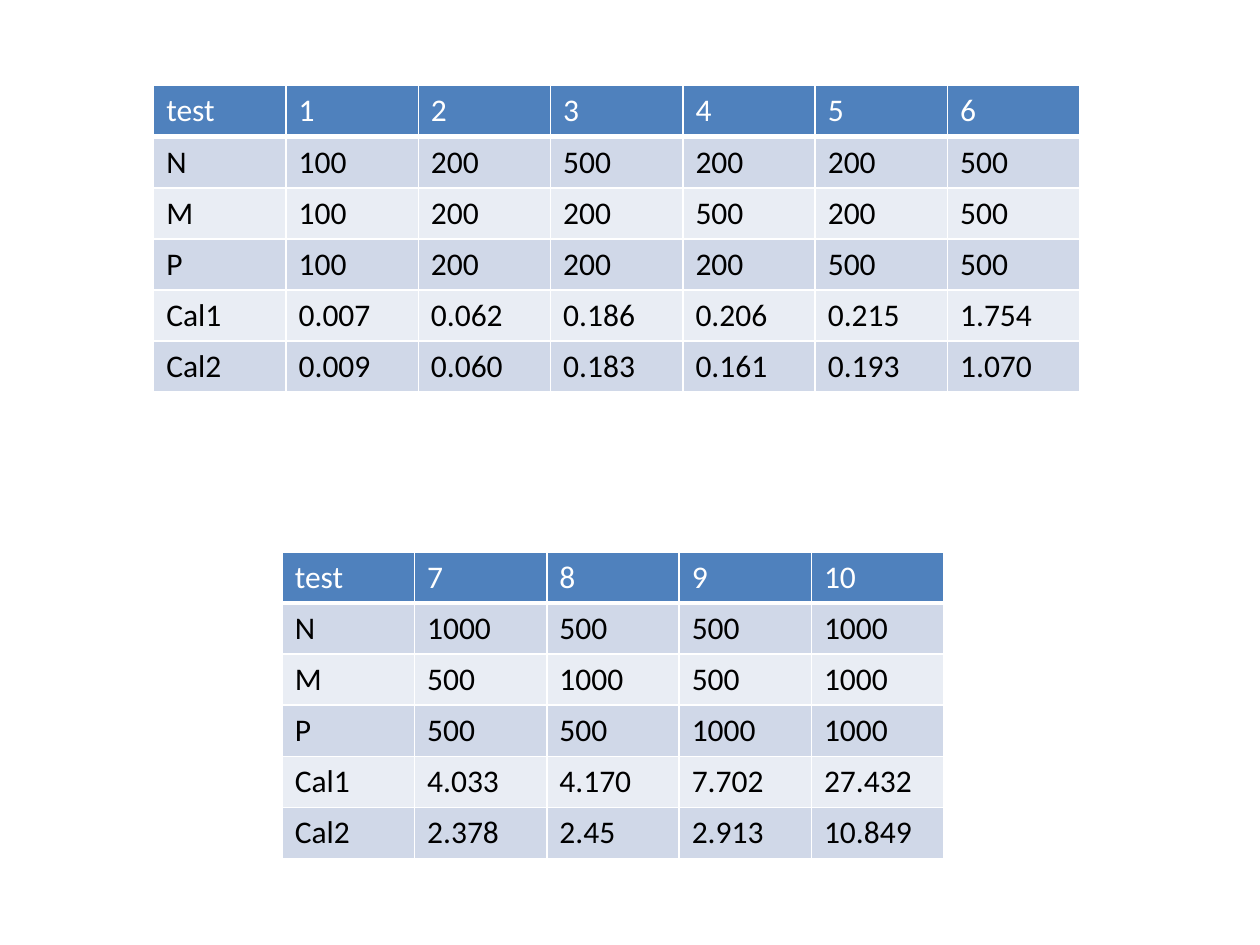
from dataclasses import dataclass

from lxml import etree
from pptx import Presentation
from pptx.dml.color import RGBColor
from pptx.oxml import ns
from pptx.util import Inches, Pt


@dataclass(frozen=True)
class Theme:
    """Colours, type and line widths of the slide."""
    font: str = "Calibri"
    size: int = 18
    header_fill: str = "4F81BD"
    header_text: str = "FFFFFF"
    body_text: str = "000000"
    bands: tuple = ("D0D8E8", "E9EDF4")
    border: str = "FFFFFF"
    thin: int = 1
    thick: int = 3


THEME = Theme()
COLUMN_WIDTH = 1.05
TABLE_HEIGHT = 2.43

FIRST_TESTS = [
    ("test", "1", "2", "3", "4", "5", "6"),
    ("N", "100", "200", "500", "200", "200", "500"),
    ("M", "100", "200", "200", "500", "200", "500"),
    ("P", "100", "200", "200", "200", "500", "500"),
    ("Cal1", "0.007", "0.062", "0.186", "0.206", "0.215", "1.754"),
    ("Cal2", "0.009", "0.060", "0.183", "0.161", "0.193", "1.070"),
]
LARGE_TESTS = [
    ("test", "7", "8", "9", "10"),
    ("N", "1000", "500", "500", "1000"),
    ("M", "500", "1000", "500", "1000"),
    ("P", "500", "500", "1000", "1000"),
    ("Cal1", "4.033", "4.170", "7.702", "27.432"),
    ("Cal2", "2.378", "2.45", "2.913", "10.849"),
]


def set_borders(cell, bottom_width):
    """Draw the four cell borders, with its own width for the bottom one."""
    properties = cell._tc.get_or_add_tcPr()
    for side in ("lnL", "lnR", "lnT", "lnB"):
        width = bottom_width if side == "lnB" else THEME.thin
        line = etree.SubElement(properties, ns.qn("a:" + side), w=str(Pt(width)))
        fill = etree.SubElement(line, ns.qn("a:solidFill"))
        etree.SubElement(fill, ns.qn("a:srgbClr"), val=THEME.border)


def format_cell(cell, value, row):
    """Fill one cell and style it as header or banded body."""
    header = row == 0
    set_borders(cell, THEME.thick if header else THEME.thin)
    fill = THEME.header_fill if header else THEME.bands[(row - 1) % 2]
    cell.fill.solid()
    cell.fill.fore_color.rgb = RGBColor.from_string(fill)
    cell.text_frame.text = value
    font = cell.text_frame.paragraphs[0].runs[0].font
    font.name = THEME.font
    font.size = Pt(THEME.size)
    font.bold = False
    color = THEME.header_text if header else THEME.body_text
    font.color.rgb = RGBColor.from_string(color)


def add_results_table(slide, left, top, records):
    """Place a table of test results with its corner at left, top."""
    columns = len(records[0])
    table = slide.shapes.add_table(
        len(records), columns, Inches(left), Inches(top),
        Inches(columns * COLUMN_WIDTH), Inches(TABLE_HEIGHT),
    ).table
    for column in table.columns:
        column.width = Inches(COLUMN_WIDTH)
    for row, record in enumerate(records):
        for column, value in enumerate(record):
            format_cell(table.cell(row, column), value, row)


def main():
    """Build the slide and save it."""
    presentation = Presentation()
    presentation.slide_width = Inches(10)
    presentation.slide_height = Inches(7.5)
    slide = presentation.slides.add_slide(presentation.slide_layouts[6])
    add_results_table(slide, 1.22, 0.68, FIRST_TESTS)
    add_results_table(slide, 2.24, 4.38, LARGE_TESTS)
    presentation.save("out.pptx")


main()
